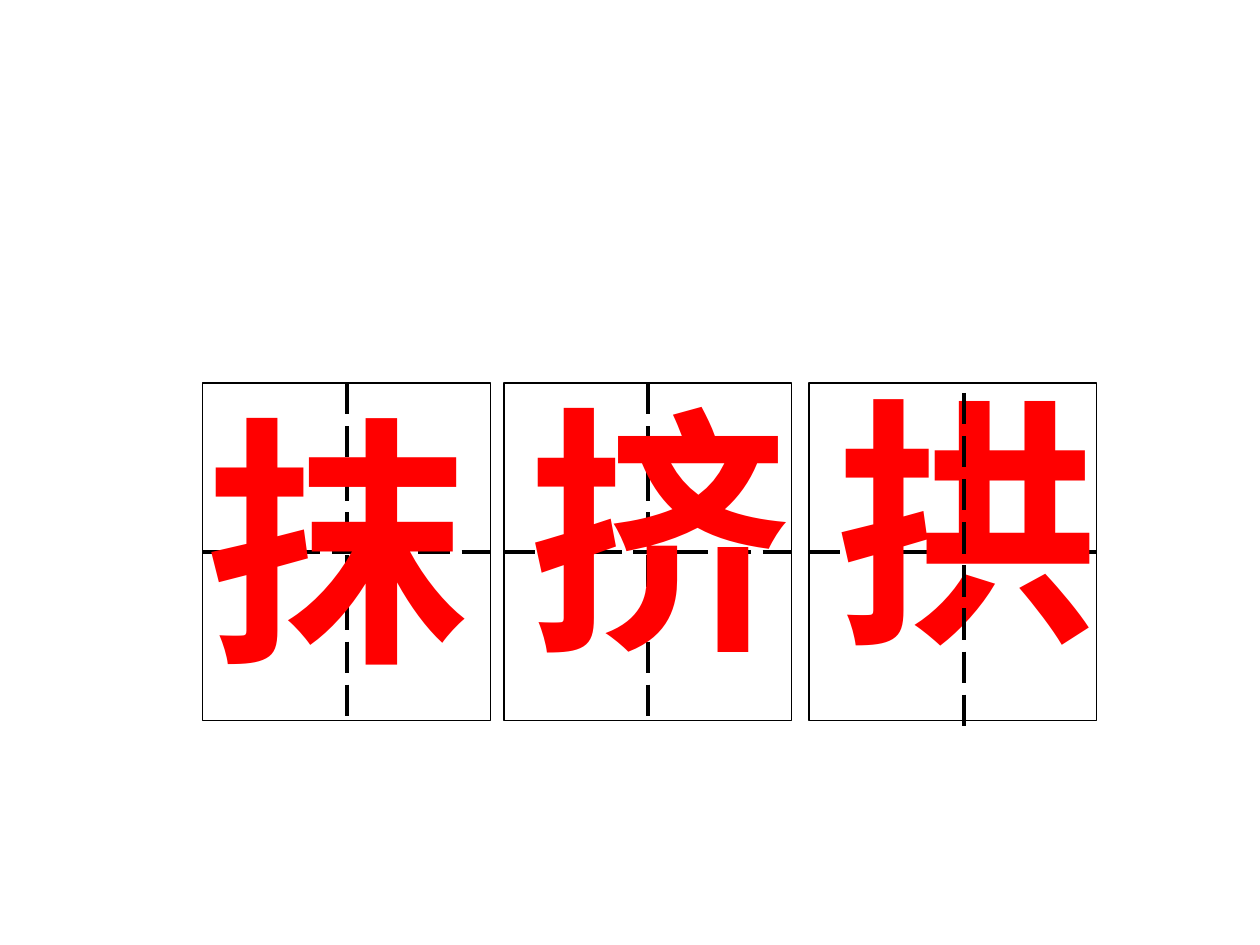
from pptx import Presentation
from pptx.dml.color import RGBColor
from pptx.enum import dml, shapes, text
from pptx.oxml.ns import qn
from pptx.util import Cm, Pt
from lxml import etree

CELL_W, CELL_H, CELL_TOP = 5.8, 6.81, 7.72
CELL_LEFTS = (4.09, 10.16, 16.31)
BLACK, WHITE, RED = "000000", "FFFFFF", "FF0000"


def rgb(value):
    return RGBColor.from_string(value)


def add_cell(s, left):
    sp = s.shapes.add_shape(shapes.MSO_SHAPE.RECTANGLE, Cm(left), Cm(CELL_TOP),
                            Cm(CELL_W), Cm(CELL_H))
    sp.shadow.inherit = False
    sp.fill.solid()
    sp.fill.fore_color.rgb = rgb(WHITE)
    sp.line.color.rgb = rgb(BLACK)
    sp.line.width = Pt(0.75)
    return sp


def add_guide(s, x1, y1, x2, y2):
    """Add a dashed writing guide; lengths are in centimetres."""
    line = s.shapes.add_connector(shapes.MSO_CONNECTOR.STRAIGHT,
                                  Cm(x1), Cm(y1), Cm(x2), Cm(y2))
    line.line.color.rgb = rgb(BLACK)
    line.line.width = Pt(2.25)
    line.line.dash_style = dml.MSO_LINE.LONG_DASH
    etree.SubElement(line._element.spPr, qn("a:effectLst"))
    return line


def add_joined_guide(s, cell, ends, points):
    """Add a guide that joins two connection sites of a cell."""
    line = add_guide(s, *points)
    line.begin_connect(cell, ends[0])
    line.end_connect(cell, ends[1])


def add_character(s, char, left, top, font):
    sp = s.shapes.add_textbox(Cm(left), Cm(top), Cm(CELL_W), Cm(6.6))
    tf = sp.text_frame
    tf.word_wrap = False
    tf.auto_size = text.MSO_AUTO_SIZE.SHAPE_TO_FIT_TEXT
    tf.text = char
    r = tf.paragraphs[0].runs[0]
    r.font.name = font
    r.font.size = Pt(150)
    r.font.bold = True
    r.font.color.rgb = rgb(RED)


def main():
    prs = Presentation()
    prs.slide_width, prs.slide_height = Cm(25.4), Cm(19.05)
    s = prs.slides.add_slide(prs.slide_layouts[6])

    middle = CELL_TOP + CELL_H / 2
    for i, left in enumerate(CELL_LEFTS):
        cell = add_cell(s, left)
        add_joined_guide(s, cell, (1, 3), (left, middle, left + CELL_W, middle))
        if i < 2:
            center = left + CELL_W / 2
            add_joined_guide(s, cell, (0, 2),
                             (center, CELL_TOP, center, CELL_TOP + CELL_H))

    add_character(s, "拱", 16.61, 7.14, "Times New Roman")
    add_guide(s, 19.43, 7.92, 19.43, 7.92 + CELL_H)
    add_character(s, "挤", 10.41, 7.32, "Times New Roman")
    add_character(s, "抹", 3.91, 7.52, "Arial")

    prs.save("out.pptx")


if __name__ == "__main__":
    main()
